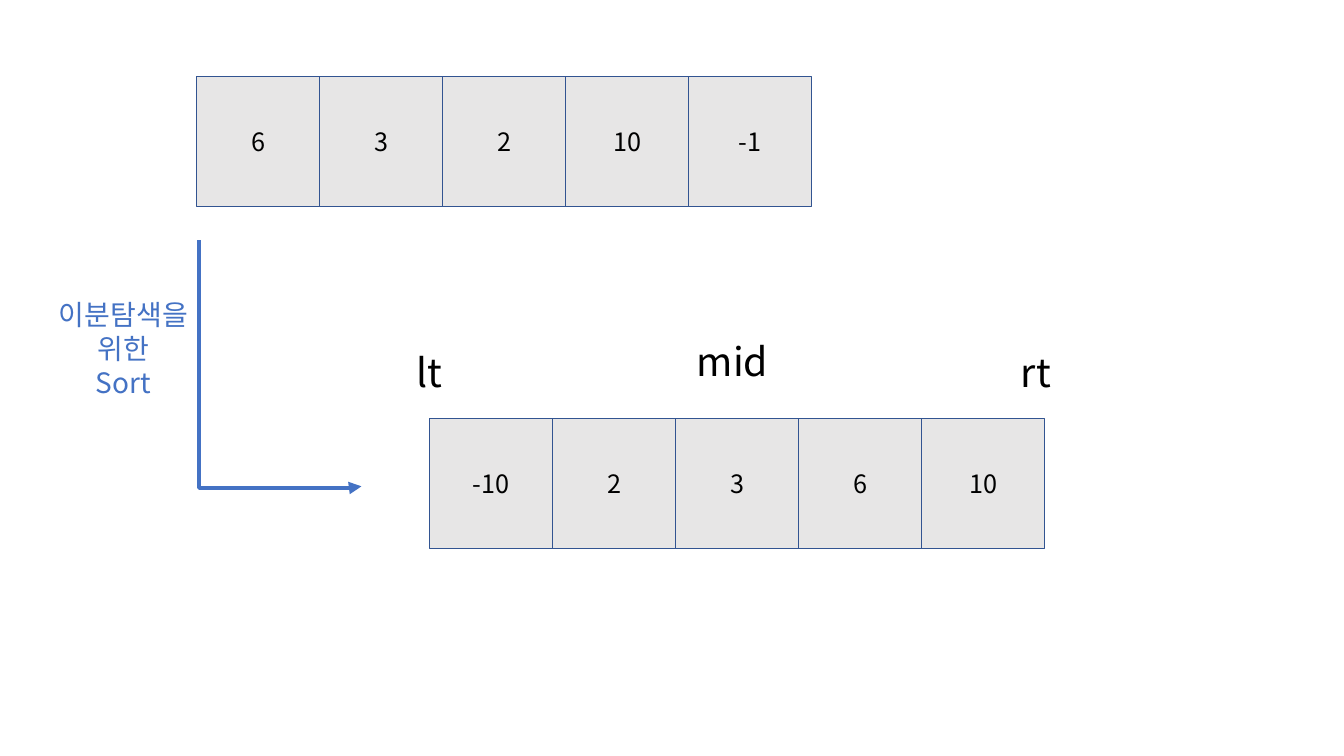
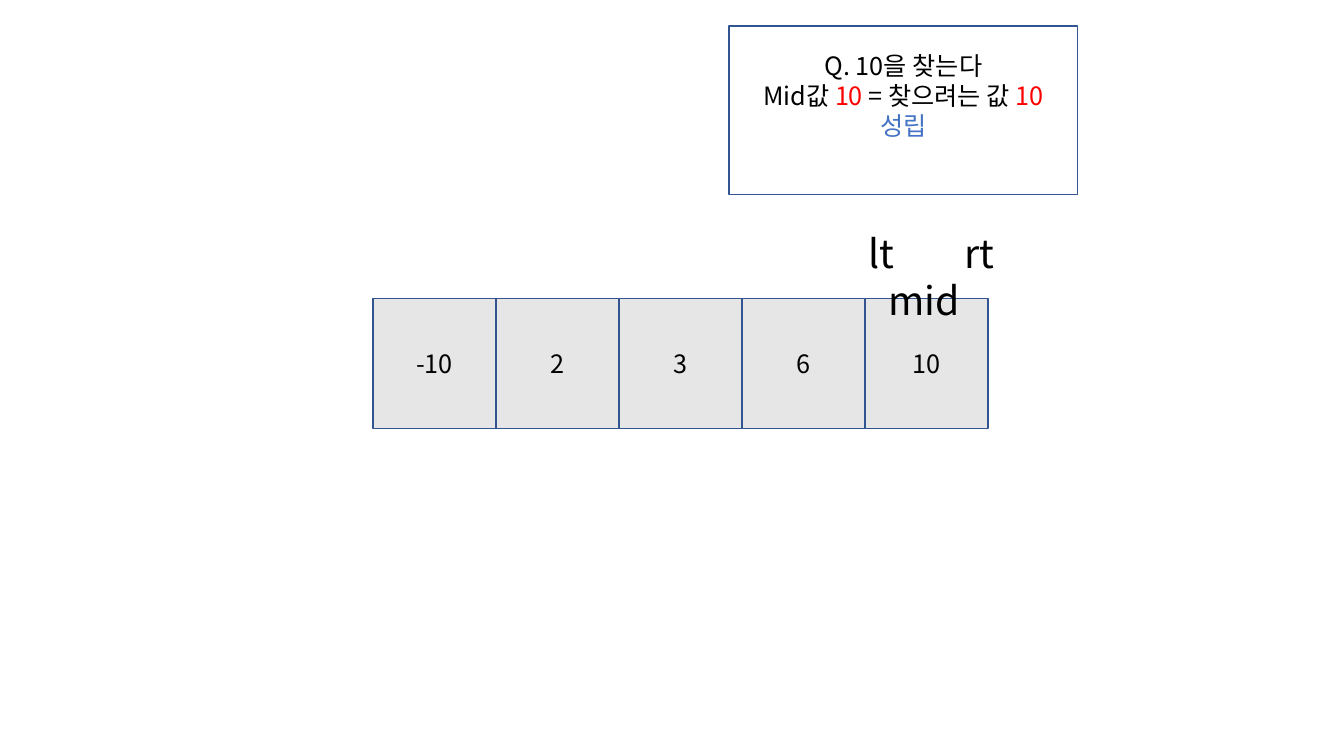
from lxml import etree
from pptx import Presentation
from pptx.dml.color import RGBColor
from pptx.enum.shapes import MSO_CONNECTOR as CONNECTOR, MSO_SHAPE as SHAPE
from pptx.enum.text import MSO_ANCHOR as ANCHOR, PP_ALIGN as ALIGN
from pptx.oxml.ns import qn
from pptx.util import Inches, Pt

BLACK = RGBColor(0x00, 0x00, 0x00)
RED = RGBColor(0xFF, 0x00, 0x00)
BLUE = RGBColor(0x44, 0x72, 0xC4)
OUTLINE = RGBColor(0x32, 0x54, 0x91)
CELL_FILL = RGBColor(0xE7, 0xE6, 0xE6)

FONT = "Noto Sans CJK KR"
CELL_WIDTH, CELL_HEIGHT = 1.22, 1.29
POINTER_WIDTH, LABEL_HEIGHT = 1.55, 0.47
SORTED_VALUES = ["-10", "2", "3", "6", "10"]

FRAME_FORMAT = {"word_wrap": True, "vertical_anchor": ANCHOR.MIDDLE}
VALUE_FORMAT = {"size": Pt(18), "name": FONT}
POINTER_FORMAT = {"size": Pt(28), "name": FONT}
CAPTION_FORMAT = {"size": Pt(20), "name": FONT}


def apply_format(target, values):
    for attribute, value in values.items():
        setattr(target, attribute, value)


def write_text(frame, lines, font_format):
    apply_format(frame, FRAME_FORMAT)
    for index, line in enumerate(lines):
        paragraph = frame.add_paragraph() if index else frame.paragraphs[0]
        paragraph.alignment = ALIGN.CENTER
        for text, color in line:
            run = paragraph.add_run()
            run.text = text
            apply_format(run.font, font_format)
            run.font.color.rgb = color
            etree.SubElement(run.font._element, qn("a:ea"), typeface=FONT)


def add_box(slide, left, top, width, height, lines, fill=None):
    box = slide.shapes.add_shape(
        SHAPE.RECTANGLE, Inches(left), Inches(top), Inches(width), Inches(height)
    )
    box.shadow.inherit = False
    if fill is None:
        box.fill.background()
    else:
        box.fill.solid()
        box.fill.fore_color.rgb = fill
    box.line.color.rgb = OUTLINE
    box.line.width = Pt(1)
    write_text(box.text_frame, lines, VALUE_FORMAT)
    return box


def add_array(slide, left, top, values):
    for index, value in enumerate(values):
        add_box(slide, left + index * CELL_WIDTH, top, CELL_WIDTH, CELL_HEIGHT,
                [[(value, BLACK)]], CELL_FILL)


def add_label(slide, left, top, width, lines, font_format):
    label = slide.shapes.add_textbox(
        Inches(left), Inches(top), Inches(width), Inches(LABEL_HEIGHT)
    )
    write_text(label.text_frame, lines, font_format)


def add_pointers(slide, positions):
    for name, (left, top) in positions.items():
        add_label(slide, left, top, POINTER_WIDTH, [[(name, BLACK)]], POINTER_FORMAT)


def add_sort_arrow(slide):
    arrow = slide.shapes.add_connector(
        CONNECTOR.ELBOW, Inches(4), Inches(2.8), Inches(1.56), Inches(4.41)
    )
    arrow.line.color.rgb = BLUE
    arrow.line.width = Pt(3)
    properties = arrow._element.spPr
    properties.find(qn("a:xfrm")).set("rot", str(270 * 60000))
    geometry = properties.find(qn("a:prstGeom"))
    adjustments = geometry.find(qn("a:avLst"))
    if adjustments is None:
        adjustments = etree.SubElement(geometry, qn("a:avLst"))
    etree.SubElement(adjustments, qn("a:gd"), name="adj1", fmla="val 100600")
    etree.SubElement(properties.find(qn("a:ln")), qn("a:tailEnd"), type="triangle")
    etree.SubElement(properties, qn("a:effectLst"))


def build_sort_slide(slide):
    add_array(slide, 4.26, 4.15, SORTED_VALUES)
    add_pointers(slide, {"lt": (3.48, 3.45), "rt": (9.5, 3.45), "mid": (6.49, 3.34)})
    add_sort_arrow(slide)
    add_array(slide, 1.95, 0.76, ["6", "3", "2", "10", "-1"])
    add_label(slide, 0.42, 3.22, 1.61,
              [[("이분탐색을 위한", BLUE)], [("Sort", BLUE)]], CAPTION_FORMAT)


def build_found_slide(slide):
    add_array(slide, 3.7, 2.96, SORTED_VALUES)
    add_pointers(slide, {"lt": (7.97, 2.27), "rt": (8.94, 2.27), "mid": (8.39, 2.74)})
    question = add_box(slide, 7.23, 0.26, 3.46, 1.67, [
        [("Q. 10을 찾는다", BLACK)],
        [("Mid값 ", BLACK), ("10", RED), (" = 찾으려는 값 ", BLACK), ("10", RED)],
        [("성립", BLUE)],
    ])
    question.text_frame.margin_bottom = Inches(0.35)


def main():
    presentation = Presentation()
    apply_format(presentation, {"slide_width": Inches(13.33), "slide_height": Inches(7.5)})
    blank = presentation.slide_layouts[6]
    for build in (build_sort_slide, build_found_slide):
        build(presentation.slides.add_slide(blank))
    presentation.save("out.pptx")


if __name__ == "__main__":
    main()
